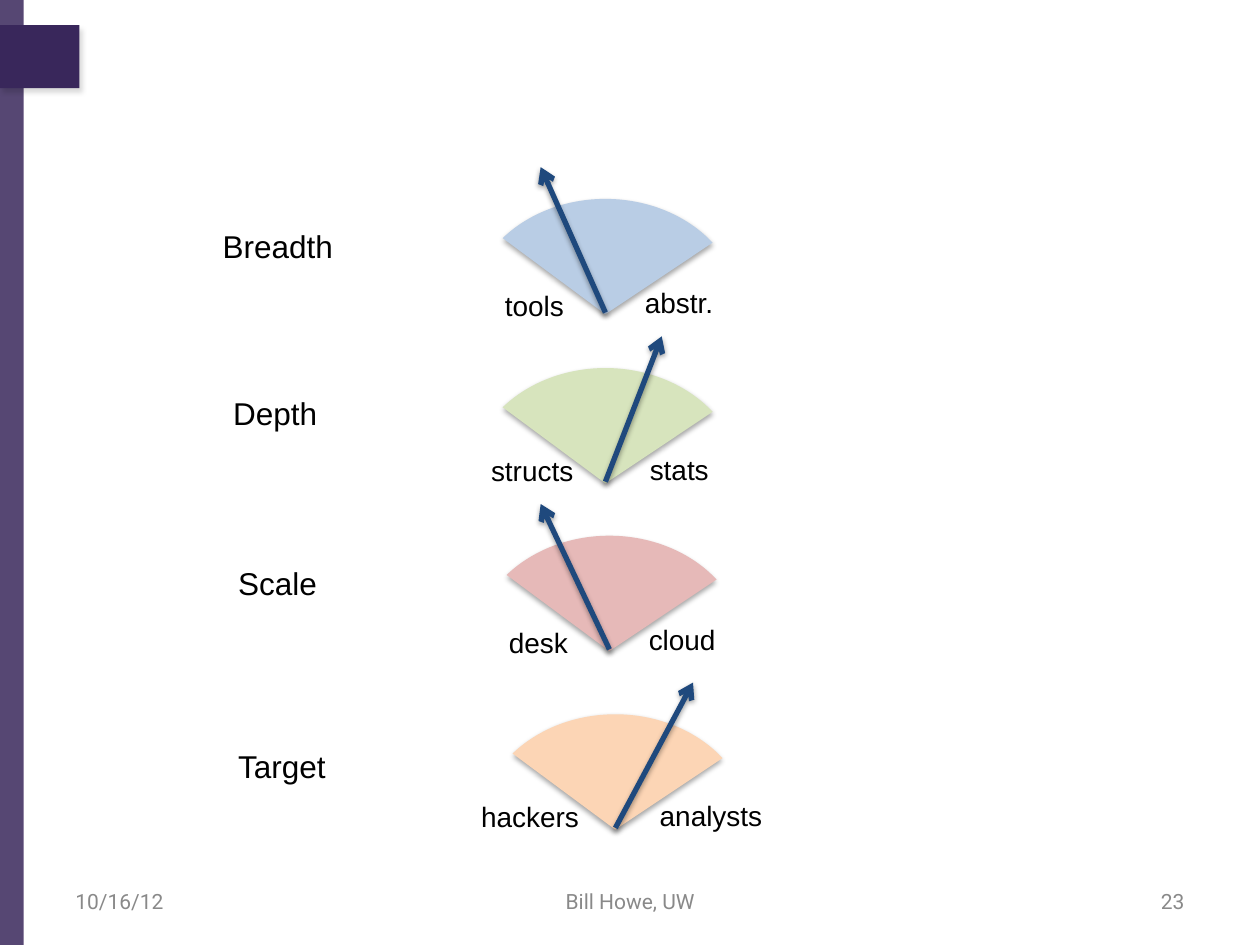
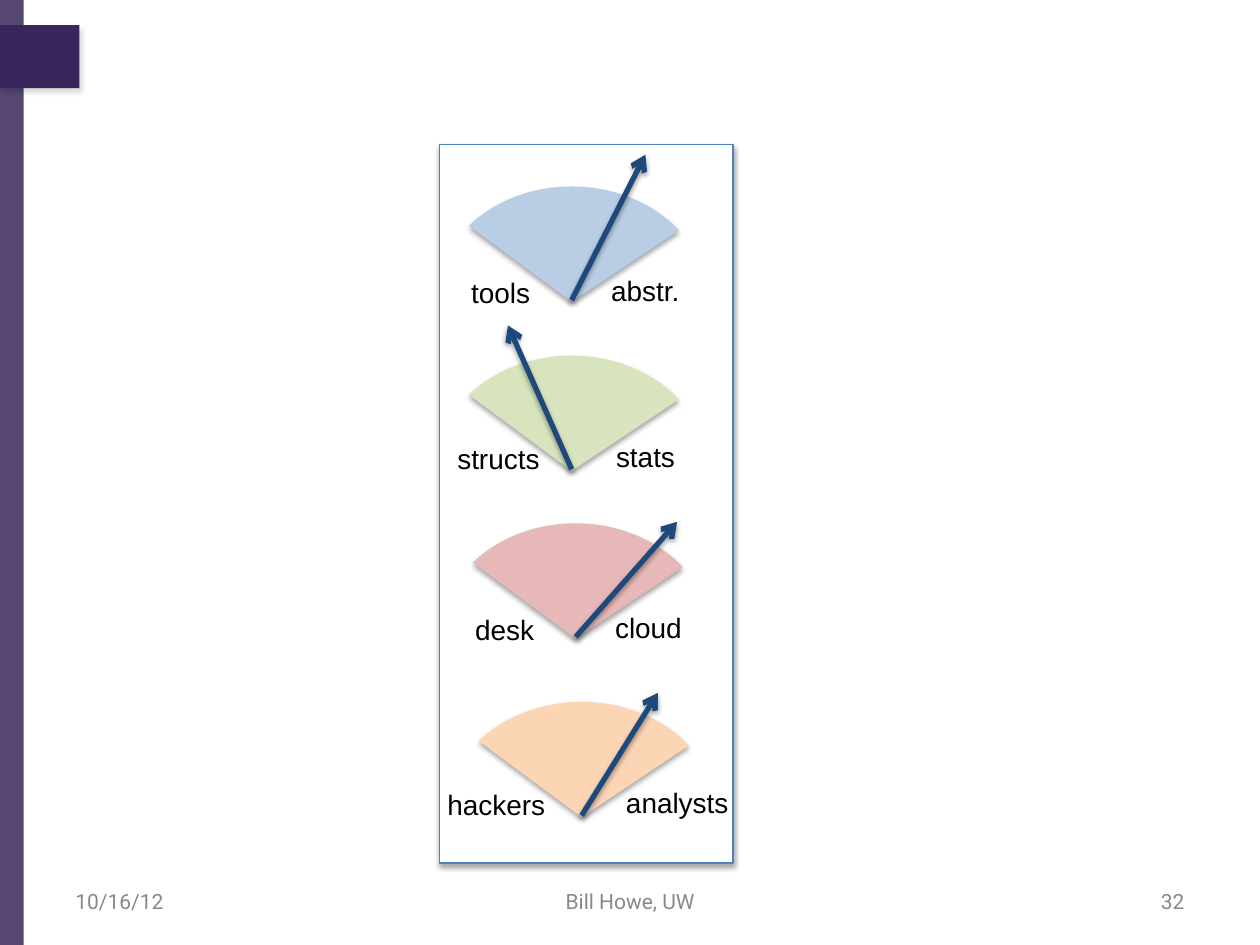
from dataclasses import dataclass

from lxml.etree import SubElement
from pptx import Presentation
from pptx.dml.color import RGBColor
from pptx.enum.shapes import MSO_CONNECTOR, MSO_SHAPE
from pptx.enum.text import MSO_ANCHOR, MSO_AUTO_SIZE, PP_ALIGN
from pptx.oxml.ns import qn
from pptx.util import Cm, Pt

PURPLE = RGBColor(0x39, 0x27, 0x5B)
GRAY = RGBColor(0x89, 0x89, 0x89)
BLACK = RGBColor(0, 0, 0)
WHITE = RGBColor(0xFF, 0xFF, 0xFF)
NAVY = RGBColor(0x1F, 0x49, 0x7D)
FRAME_BLUE = RGBColor(0x4F, 0x81, 0xBD)
PALE_BLUE = RGBColor(0xB9, 0xCD, 0xE5)
PALE_GREEN = RGBColor(0xD7, 0xE4, 0xBD)
PALE_RED = RGBColor(0xE6, 0xB9, 0xB8)
PALE_ORANGE = RGBColor(0xFC, 0xD5, 0xB5)

# Shadows: opacity %, blur pt, distance pt, direction in degrees
TAB_SHADOW = (15, 3, 3, 60)
SHAPE_SHADOW = (35, 3.1, 1.8, 90)
NEEDLE_SHADOW = (38, 3.1, 1.6, 90)

DIAL_WIDTH, DIAL_HEIGHT = 5.51, 4.65
DIAL_ANGLES = (129.915, 195.772)
HUB_X, HUB_Y = DIAL_WIDTH / 2, 2.29


@dataclass
class Gauge:
    """A dial; label places are offsets in cm from its top left corner."""
    topic: str
    topic_at: tuple
    dial_at: tuple
    color: RGBColor
    low: str
    low_at: tuple
    high: str
    high_at: tuple


GAUGES = [
    Gauge("Breadth", (4.24, 4.45), (9.45, 4.01), PALE_BLUE,
          "tools", (0.48, 1.68), "abstr.", (3.3, 1.63)),
    Gauge("Depth", (4.45, 7.82), (9.45, 7.42), PALE_GREEN,
          "structs", (0.2, 1.6), "stats", (3.4, 1.57)),
    Gauge("Scale", (4.55, 11.25), (9.53, 10.8), PALE_RED,
          "desk", (0.48, 1.68), "cloud", (3.3, 1.63)),
    Gauge("Target", (4.55, 14.94), (9.65, 14.4), PALE_ORANGE,
          "hackers", (-0.2, 1.6), "analysts", (3.4, 1.57)),
]

# Needle tips, as offsets from each dial's top left corner
FIRST_TIPS = [(1.45, -0.64), (3.89, -0.64), (1.37, -0.64), (4.32, -0.64)]
SECOND_TIPS = [(4.24, -0.64), (1.47, -0.61), (4.8, -0.03), (4.29, -0.18)]


class Deck:
    def __init__(self):
        self.prs = Presentation()
        self.prs.slide_width, self.prs.slide_height = Cm(25.4), Cm(19.05)
        self.shapes = None

    def new_slide(self, number):
        self.shapes = self.prs.slides.add_slide(self.prs.slide_layouts[6]).shapes
        # Side band and tab
        self.shape(MSO_SHAPE.RECTANGLE, 0, 0, 0.48, 19.05, PURPLE, alpha=85)
        self.shape(MSO_SHAPE.RECTANGLE, 0, 0.51, 1.6, 1.27, PURPLE, TAB_SHADOW)
        # Footer
        for words, left, width, align in (
                ("10/16/12", 1.27, 5.93, PP_ALIGN.LEFT),
                ("Bill Howe, UW", 8.68, 8.05, PP_ALIGN.CENTER),
                (number, 18.2, 5.93, PP_ALIGN.RIGHT)):
            self.text(words, left, 17.65, width, 1.02, 12, GRAY, "Roboto",
                      align, MSO_ANCHOR.MIDDLE, MSO_AUTO_SIZE.NONE)

    def start_group(self):
        self.shapes = self.shapes.add_group_shape().shapes

    def shape(self, kind, left, top, width, height, fill, shadow=None,
              line=None, alpha=None):
        shape = self.shapes.add_shape(kind, Cm(left), Cm(top), Cm(width), Cm(height))
        shape.shadow.inherit = False
        shape.fill.solid()
        shape.fill.fore_color.rgb = fill
        if line is None:
            shape.line.fill.background()
        else:
            shape.line.color.rgb = line
            shape.line.width = Pt(0.75)
        properties = shape._element.spPr
        if alpha:
            color = properties.find(qn("a:solidFill")).find(qn("a:srgbClr"))
            SubElement(color, qn("a:alpha"), val=str(alpha * 1000))
        if shadow:
            self.cast_shadow(properties.find(qn("a:effectLst")), shadow)
        return shape

    def cast_shadow(self, effects, shadow):
        opacity, blur, distance, direction = shadow
        outer = SubElement(effects, qn("a:outerShdw"), blurRad=str(Pt(blur)),
                           dist=str(Pt(distance)), dir=str(direction * 60000),
                           rotWithShape="0")
        color = SubElement(outer, qn("a:srgbClr"), val="000000")
        SubElement(color, qn("a:alpha"), val=str(opacity * 1000))

    def text(self, words, left, top, width, height, size, color=BLACK,
             font="Arial", align=PP_ALIGN.LEFT, anchor=MSO_ANCHOR.TOP,
             fit=MSO_AUTO_SIZE.SHAPE_TO_FIT_TEXT):
        box = self.shapes.add_textbox(Cm(left), Cm(top), Cm(width), Cm(height))
        frame = box.text_frame
        frame.word_wrap = True
        frame.auto_size = fit
        frame.vertical_anchor = anchor
        frame.text = words
        paragraph = frame.paragraphs[0]
        paragraph.alignment = align
        run_font = paragraph.runs[0].font
        run_font.name, run_font.size = font, Pt(size)
        run_font.color.rgb = color

    def needle(self, x1, y1, x2, y2):
        needle = self.shapes.add_connector(
            MSO_CONNECTOR.STRAIGHT, Cm(x1), Cm(y1), Cm(x2), Cm(y2))
        needle.line.color.rgb = NAVY
        needle.line.width = Pt(3)
        properties = needle._element.spPr
        SubElement(properties.find(qn("a:ln")), qn("a:tailEnd"), type="arrow")
        self.cast_shadow(SubElement(properties, qn("a:effectLst")), NEEDLE_SHADOW)

    def gauge(self, gauge, tip, dx=0, dy=0):
        left, top = gauge.dial_at[0] + dx, gauge.dial_at[1] + dy
        dial = self.shape(MSO_SHAPE.PIE, left, top, DIAL_WIDTH, DIAL_HEIGHT,
                          gauge.color, SHAPE_SHADOW)
        dial.adjustments[0], dial.adjustments[1] = DIAL_ANGLES
        for label, (x, y) in ((gauge.low, gauge.low_at), (gauge.high, gauge.high_at)):
            self.text(label, left + x, top + y, 2.7, 0.94, 16)
        self.needle(left + HUB_X, top + HUB_Y, left + tip[0], top + tip[1])


def main():
    deck = Deck()

    # Slide 1: gauges with their topics
    deck.new_slide("23")
    for gauge, tip in zip(GAUGES, FIRST_TIPS):
        deck.gauge(gauge, tip)
        deck.text(gauge.topic, *gauge.topic_at, 4.45, 1.02, 18)

    # Slide 2: framed gauges with new settings
    deck.new_slide("32")
    deck.start_group()
    deck.shape(MSO_SHAPE.RECTANGLE, 8.86, 2.92, 5.92, 14.48, WHITE,
               SHAPE_SHADOW, FRAME_BLUE)
    for gauge, tip in zip(GAUGES, SECOND_TIPS):
        deck.gauge(gauge, tip, dx=-0.68, dy=-0.25)

    deck.prs.save("out.pptx")


if __name__ == "__main__":
    main()
